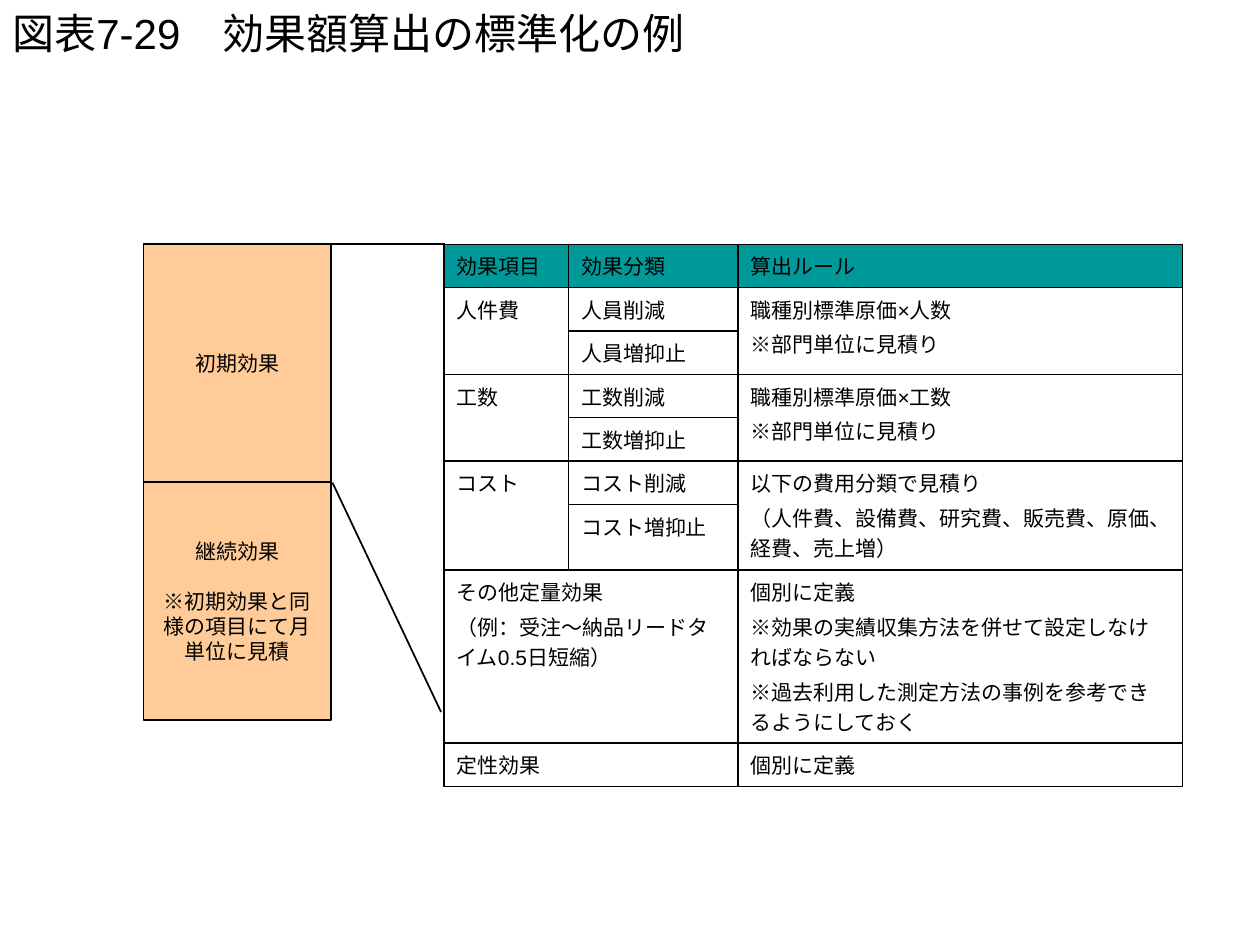
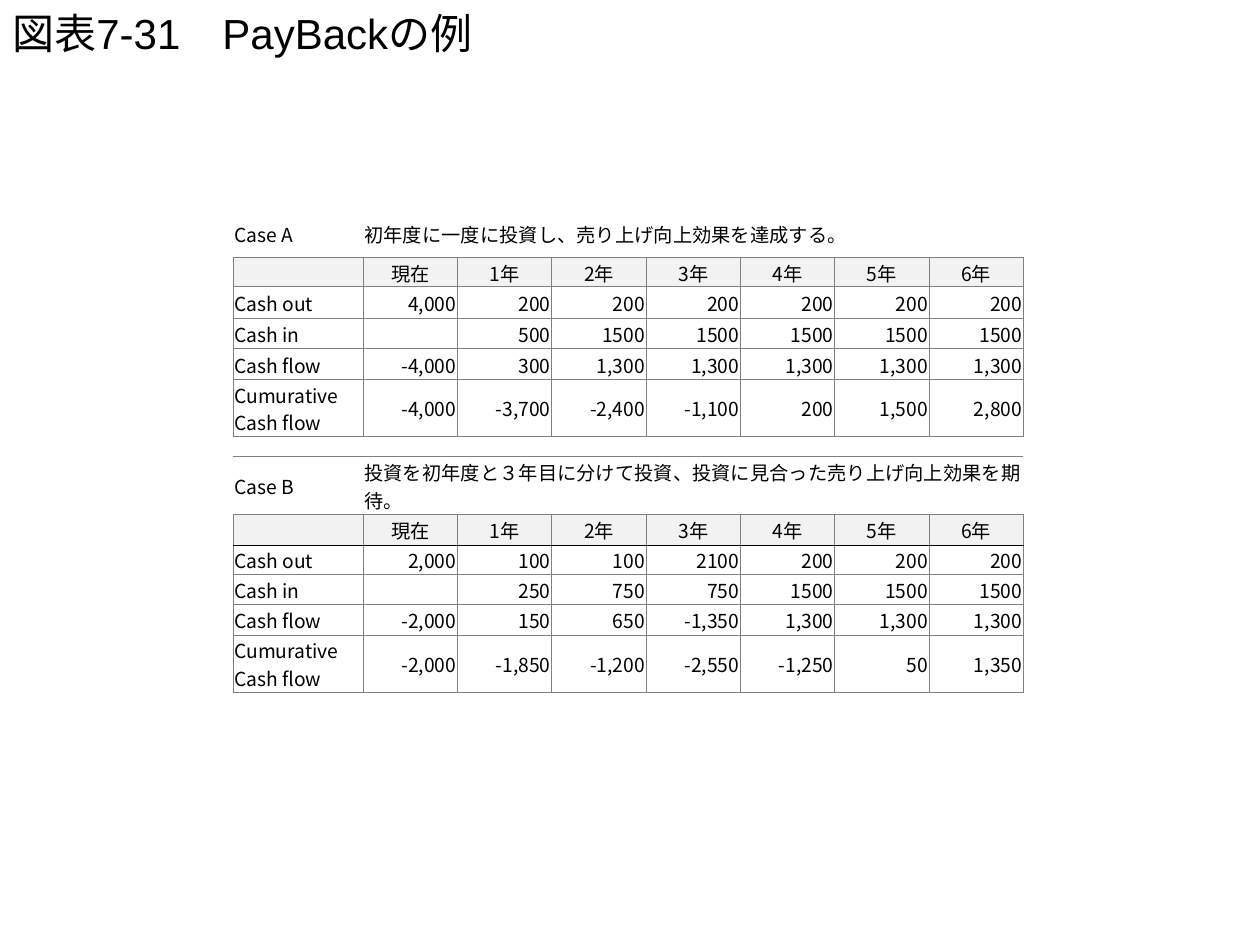
"""Build two slides: a benefit calculation standard and a payback example."""
from dataclasses import dataclass, replace

from lxml import etree
from pptx import Presentation
from pptx.dml.color import RGBColor
from pptx.enum.shapes import MSO_CONNECTOR, MSO_SHAPE
from pptx.enum.text import MSO_ANCHOR, PP_ALIGN
from pptx.oxml.ns import qn
from pptx.slide import Slide
from pptx.table import Table, _Cell
from pptx.text.text import TextFrame, _Paragraph
from pptx.util import Pt

RECTANGLE = MSO_SHAPE.RECTANGLE
STRAIGHT = MSO_CONNECTOR.STRAIGHT
TOP, MIDDLE = MSO_ANCHOR.TOP, MSO_ANCHOR.MIDDLE
LEFT, CENTER, RIGHT = PP_ALIGN.LEFT, PP_ALIGN.CENTER, PP_ALIGN.RIGHT

BLACK, WHITE, GRAY = "000000", "FFFFFF", "808080"
TEAL, PEACH, PALE_GRAY = "009999", "FFCC99", "F2F2F2"
LATIN_FONT, JAPANESE_FONT = "Arial", "Noto Sans CJK JP"

SLIDE_WIDTH, SLIDE_HEIGHT = 720, 540
TITLE_HEIGHT = 37.4
BOX_LEFT, BOX_WIDTH, BOX_HEIGHT = 82, 107.2, 136
BOX_LINE_PITCH = 14.3
TABLE_TOP = 139.6
LINE_HEIGHT = 24.8


@dataclass(frozen=True)
class TextStyle:
    """Look of a block of text, with insets as left, top, right, bottom."""
    size: float
    font: str = LATIN_FONT
    align: PP_ALIGN = LEFT
    anchor: MSO_ANCHOR = MIDDLE
    insets: tuple[float, ...] = (7.2, 3.6, 7.2, 3.6)
    gap: float = 0
    pitch: float | None = None


@dataclass(frozen=True)
class Grid:
    """Place, column widths and row heights of a table."""
    left: float
    top: float
    widths: list[float]
    heights: list[float]


@dataclass(frozen=True)
class EffectBox:
    """One period of effects in the left column."""
    lines: list[str]


@dataclass(frozen=True)
class Ruler:
    """A straight line from the boxes to the table."""
    start: tuple[float, float]
    end: tuple[float, float]


@dataclass(frozen=True)
class CashCase:
    """One investment case with its yearly cash figures."""
    name: str
    summary: str
    top: float
    heights: list[float]
    figures: list[list[str]]
    header_rule: str
    title_sides: dict[str, str]


TITLE_STYLE = TextStyle(24)
BOX_STYLE = TextStyle(12, JAPANESE_FONT, CENTER, gap=BOX_LINE_PITCH, pitch=BOX_LINE_PITCH)
RULE_STYLE = TextStyle(12, anchor=TOP, gap=2.4)
CASH_STYLE = TextStyle(11, JAPANESE_FONT, insets=(0.7, 0.7, 0.7, 0))

EFFECT_BOXES = [
    EffectBox(["初期効果"]),
    EffectBox(["継続効果", "※初期効果と同様の項目にて月単位に見積"]),
]
RULERS = [
    Ruler((184.3, TABLE_TOP), (254.2, TABLE_TOP)),
    Ruler((190, 275.8), (252, 406.8)),
]
RULE_GRID = Grid(253.6, TABLE_TOP, [71.3, 96.9, 254], [LINE_HEIGHT] * 6 + [37.4, 99, LINE_HEIGHT])
RULE_ROWS = [
    ["効果項目", "効果分類", "算出ルール"],
    ["人件費", "人員削減", "職種別標準原価×人数\n※部門単位に見積り"],
    ["", "人員増抑止", ""],
    ["工数", "工数削減", "職種別標準原価×工数\n※部門単位に見積り"],
    ["", "工数増抑止", ""],
    ["コスト", "コスト削減", "以下の費用分類で見積り\n（人件費、設備費、研究費、販売費、原価、経費、売上増）"],
    ["", "コスト増抑止", ""],
    ["その他定量効果\n（例：受注～納品リードタイム0.5日短縮）", "",
     "個別に定義\n※効果の実績収集方法を併せて設定しなければならない\n"
     "※過去利用した測定方法の事例を参考できるようにしておく"],
    ["定性効果", "", "個別に定義"],
]

CASH_WIDTHS = [74.4] + [53.9] * 7
YEARS = ["", "現在"] + [f"{year}年" for year in range(1, 7)]
CASH_LABELS = ["Cash out", "Cash in", "Cash flow", "Cumurative\vCash flow"]
CASH_CASES = [
    CashCase(
        "Case A", "初年度に一度に投資し、売り上げ向上効果を達成する。",
        119.4, [27.9, 16.6, 18, 17.3, 17.6, 32.7],
        [["4,000"] + ["200"] * 6,
         ["", "500"] + ["1500"] * 5,
         ["-4,000", "300"] + ["1,300"] * 5,
         ["-4,000", "-3,700", "-2,400", "-1,100", "200", "1,500", "2,800"]],
        GRAY, {"B": GRAY}),
    CashCase(
        "Case B", "投資を初年度と３年目に分けて投資、投資に見合った売り上げ向上効果を期待。",
        260.8, [33.1, 17.7, 16.7, 17.1, 17.7, 32.6],
        [["2,000", "100", "100", "2100", "200", "200", "200"],
         ["", "250", "750", "750", "1500", "1500", "1500"],
         ["-2,000", "150", "650", "-1,350", "1,300", "1,300", "1,300"],
         ["-2,000", "-1,850", "-1,200", "-2,550", "-1,250", "50", "1,350"]],
        BLACK, {"T": GRAY, "B": GRAY}),
]


def color(value: str) -> RGBColor:
    """Turn a hex string into a colour."""
    return RGBColor.from_string(value)


def style_paragraph(para: _Paragraph, style: TextStyle) -> None:
    """Set alignment, spacing and fonts of one paragraph."""
    para.alignment = style.align
    if style.pitch:
        para.line_spacing = Pt(style.pitch)
    para.font.size = Pt(style.size)
    para.font.name = style.font
    para.font.color.rgb = color(BLACK)
    defaults = para._p.pPr.find(qn("a:defRPr"))
    etree.SubElement(defaults, qn("a:ea"), typeface=JAPANESE_FONT)
    if not para.runs:
        etree.SubElement(para._p, qn("a:endParaRPr"), sz=str(int(style.size * 100)))


def write_lines(frame: TextFrame, lines: list[str], style: TextStyle) -> None:
    """Write one paragraph a line, with the style's gap between them."""
    frame.word_wrap = True
    for index, line in enumerate(lines):
        para = frame.add_paragraph() if index else frame.paragraphs[0]
        para.text = line
        if index and style.gap:
            para.space_before = Pt(style.gap)
        style_paragraph(para, style)


def set_insets(target: TextFrame | _Cell, style: TextStyle) -> None:
    """Set the four margins and the anchor of a frame or a cell."""
    (target.margin_left, target.margin_top,
     target.margin_right, target.margin_bottom) = map(Pt, style.insets)
    target.vertical_anchor = style.anchor


def add_title(page: Slide, title: str) -> None:
    """Add the title across the top of a page."""
    frame = page.shapes.add_textbox(0, 0, Pt(SLIDE_WIDTH), Pt(TITLE_HEIGHT)).text_frame
    set_insets(frame, TITLE_STYLE)
    write_lines(frame, [title], TITLE_STYLE)


def add_effect_box(page: Slide, effect: EffectBox, top: float) -> None:
    """Add one filled box of the left column."""
    box = page.shapes.add_shape(RECTANGLE, Pt(BOX_LEFT), Pt(top), Pt(BOX_WIDTH), Pt(BOX_HEIGHT))
    box.shadow.inherit = False
    box.fill.solid()
    box.fill.fore_color.rgb = color(PEACH)
    box.line.color.rgb = color(BLACK)
    box.line.width = Pt(1)
    set_insets(box.text_frame, BOX_STYLE)
    write_lines(box.text_frame, effect.lines, BOX_STYLE)


def add_ruler(page: Slide, ruler: Ruler) -> None:
    """Add one plain black line."""
    line = page.shapes.add_connector(STRAIGHT, *map(Pt, ruler.start + ruler.end))
    line.line.color.rgb = color(BLACK)
    line.line.width = Pt(1)
    etree.SubElement(line._element.spPr, qn("a:effectLst"))


def add_grid(page: Slide, grid: Grid) -> Table:
    """Add an empty table without banding."""
    table = page.shapes.add_table(
        len(grid.heights), len(grid.widths), Pt(grid.left), Pt(grid.top),
        Pt(sum(grid.widths)), Pt(sum(grid.heights))).table
    table.first_row = table.horz_banding = False
    for column, width in zip(table.columns, grid.widths):
        column.width = Pt(width)
    for row, height in zip(table.rows, grid.heights):
        row.height = Pt(height)
    return table


def set_borders(cell: _Cell, sides: dict[str, str], width: float) -> None:
    """Draw the named sides (L, R, T, B) and clear the others."""
    properties = cell._tc.get_or_add_tcPr()
    for side in "LRTB":
        line = etree.SubElement(properties, qn(f"a:ln{side}"), w=str(Pt(width)))
        if side in sides:
            fill = etree.SubElement(line, qn("a:solidFill"))
            etree.SubElement(fill, qn("a:srgbClr"), val=sides[side])
        else:
            etree.SubElement(line, qn("a:noFill"))


def fill_cell(cell: _Cell, text: str, style: TextStyle, fill: str | None,
              sides: dict[str, str], width: float) -> None:
    """Write and format one table cell."""
    set_borders(cell, sides, width)
    if fill:
        cell.fill.solid()
        cell.fill.fore_color.rgb = color(fill)
    else:
        cell.fill.background()
    set_insets(cell, style)
    write_lines(cell.text_frame, text.split("\n"), style)


def add_rule_table(page: Slide) -> None:
    """Add the table of calculation rules."""
    table = add_grid(page, RULE_GRID)
    for row, texts in enumerate(RULE_ROWS):
        for column, text in enumerate(texts):
            fill = WHITE if row else TEAL
            fill_cell(table.cell(row, column), text, RULE_STYLE, fill, dict.fromkeys("LRTB", BLACK), 1)
    for row in (1, 3, 5):
        for column in (0, 2):
            table.cell(row, column).merge(table.cell(row + 1, column))
    for row in (7, 8):
        table.cell(row, 0).merge(table.cell(row, 1))


def add_cash_table(page: Slide, case: CashCase) -> None:
    """Add the cash table of one investment case."""
    table = add_grid(page, Grid(133.2, case.top, CASH_WIDTHS, case.heights))
    title_row = [case.name, case.summary] + [""] * 6
    figure_rows = [[label] + values for label, values in zip(CASH_LABELS, case.figures)]
    for row, texts in enumerate([title_row, YEARS] + figure_rows):
        sides = dict.fromkeys("LRTB", GRAY)
        if row == 0:
            sides = case.title_sides
        elif row == 1:
            sides["B"] = case.header_rule
        elif row == 2:
            sides["T"] = case.header_rule
        for column, text in enumerate(texts):
            align = LEFT if row == 0 or column == 0 else CENTER if row == 1 else RIGHT
            fill = PALE_GRAY if row == 1 else None
            fill_cell(table.cell(row, column), text, replace(CASH_STYLE, align=align), fill, sides, 0.5)
    table.cell(0, 1).merge(table.cell(0, 7))


def main() -> None:
    """Build the deck and save it."""
    deck = Presentation()
    deck.slide_width, deck.slide_height = Pt(SLIDE_WIDTH), Pt(SLIDE_HEIGHT)
    blank = deck.slide_layouts[6]

    page = deck.slides.add_slide(blank)
    add_title(page, "図表7-29　効果額算出の標準化の例")
    add_rule_table(page)
    for index, effect in enumerate(EFFECT_BOXES):
        add_effect_box(page, effect, TABLE_TOP + index * BOX_HEIGHT)
    for ruler in RULERS:
        add_ruler(page, ruler)

    page = deck.slides.add_slide(blank)
    add_title(page, "図表7-31　PayBackの例")
    for case in CASH_CASES:
        add_cash_table(page, case)

    deck.save("out.pptx")


if __name__ == "__main__":
    main()
